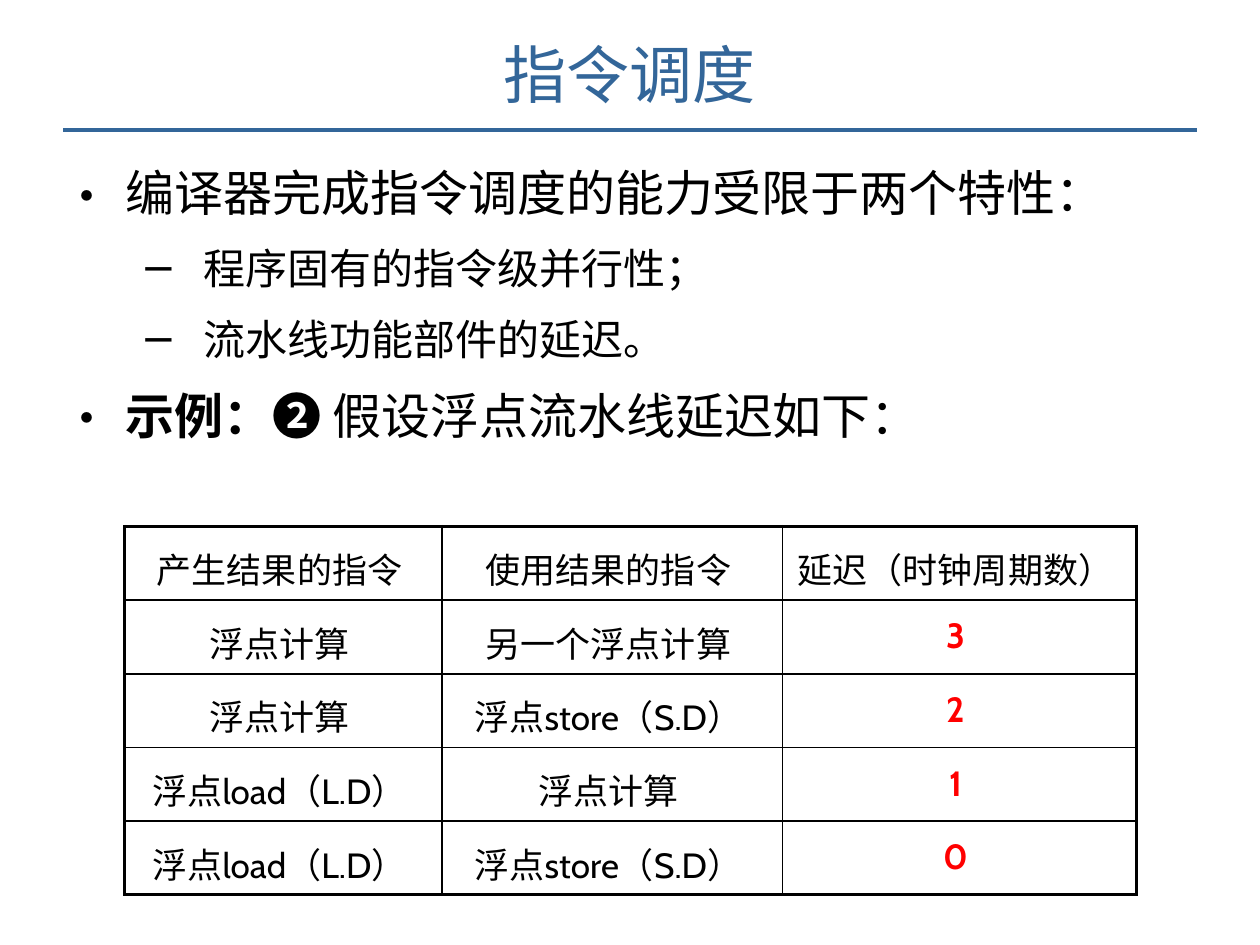
from lxml.etree import SubElement
from pptx import Presentation
from pptx.dml.color import RGBColor
from pptx.enum.shapes import MSO_CONNECTOR
from pptx.enum.text import PP_ALIGN
from pptx.oxml.ns import qn
from pptx.util import Inches, Pt

CJK, LATIN = "Noto Sans CJK SC", "Cabin"
BLACK, BLUE, RED = "000000", "336699", "FF0000"
THIN, THICK = 1, 2.25

TITLE = "指令调度"
# Each point: level, then runs of (text, bold)
POINTS = [
    (0, [("编译器完成指令调度的能力受限于两个特性：", False)]),
    (1, [("程序固有的指令级并行性；", False)]),
    (1, [("流水线功能部件的延迟。", False)]),
    (0, [("示例：❷ ", True), ("假设浮点流水线延迟如下：", False)]),
]
# Level: bullet, size, left margin, hanging indent
LEVELS = [("•", 28, 0.37, 0.37), ("−", 24, 0.99, 0.5)]

ROWS = [
    ("产生结果的指令", "使用结果的指令", "延迟（时钟周期数）"),
    ("浮点计算", "另一个浮点计算", "3"),
    ("浮点计算", "浮点store（S.D）", "2"),
    ("浮点load（L.D）", "浮点计算", "1"),
    ("浮点load（L.D）", "浮点store（S.D）", "0"),
]
WIDTHS = [2.52, 2.7, 2.81]
TALL = 2.92


def color(code):
    return RGBColor.from_string(code)


def add_run(para, text, size, tint=BLACK, bold=False, face=CJK):
    run = para.add_run()
    run.text = text
    font = run.font
    font.name, font.size, font.bold = face, Pt(size), bold
    font.color.rgb = color(tint)
    SubElement(font._element, qn("a:ea"), typeface=CJK)


def add_box(slide, *area):
    box = slide.shapes.add_textbox(*map(Inches, area))
    frame = box.text_frame
    frame.word_wrap = True
    return frame


def add_bullet(para, mark, left, hang):
    props = para._p.get_or_add_pPr()
    props.set("marL", str(Inches(left)))
    props.set("indent", str(-Inches(hang)))
    tint = SubElement(props, qn("a:buClr"))
    SubElement(tint, qn("a:srgbClr"), val=BLACK)
    SubElement(props, qn("a:buFont"), typeface=LATIN)
    SubElement(props, qn("a:buChar"), char=mark)


def add_border(cell, side, width):
    props = cell._tc.get_or_add_tcPr()
    line = SubElement(props, qn(f"a:ln{side}"), w=str(Pt(width)))
    fill = SubElement(line, qn("a:solidFill"))
    SubElement(fill, qn("a:srgbClr"), val=BLACK)


def add_rule(slide):
    ends = map(Inches, (0.5, 1.03, 9.5, 1.03))
    rule = slide.shapes.add_connector(MSO_CONNECTOR.STRAIGHT, *ends)
    rule.line.color.rgb = color(BLUE)
    rule.line.width = Pt(2)
    SubElement(rule._element.spPr, qn("a:effectLst"))


def add_points(slide):
    frame = add_box(slide, 0.53, 1.24, 8.95, 3.06)
    for i, (level, runs) in enumerate(POINTS):
        para = frame.add_paragraph() if i else frame.paragraphs[0]
        para.space_before = para.space_after = Pt(6)
        mark, size, left, hang = LEVELS[level]
        add_bullet(para, mark, left, hang)
        for text, bold in runs:
            add_run(para, text, size, bold=bold)


def add_grid(slide):
    last, end = len(ROWS) - 1, len(WIDTHS) - 1
    area = (0.99, 4.18, sum(WIDTHS), TALL)
    table = slide.shapes.add_table(
        len(ROWS), len(WIDTHS), *map(Inches, area)).table
    for col, width in zip(table.columns, WIDTHS):
        col.width = Inches(width)
    for r, words in enumerate(ROWS):
        for c, word in enumerate(words):
            cell = table.cell(r, c)
            outer = {"L": c == 0, "R": c == end, "T": r == 0, "B": r == last}
            for side, edge in outer.items():
                add_border(cell, side, THICK if edge else THIN)
            cell.fill.background()
            para = cell.text_frame.paragraphs[0]
            para.alignment = PP_ALIGN.CENTER
            para.line_spacing = 1.2
            delay = r > 0 and c == end
            add_run(para, f"{word} ", 20, RED if delay else BLACK, delay, LATIN)


def add_title(slide):
    para = add_box(slide, 0, 0.23, 10, 0.75).paragraphs[0]
    para.alignment = PP_ALIGN.CENTER
    add_run(para, TITLE, 36, BLUE)


def main():
    deck = Presentation()
    deck.slide_width, deck.slide_height = Inches(10), Inches(7.5)
    slide = deck.slides.add_slide(deck.slide_layouts[6])
    add_rule(slide)
    add_points(slide)
    add_grid(slide)
    add_title(slide)
    deck.save("out.pptx")


if __name__ == "__main__":
    main()
